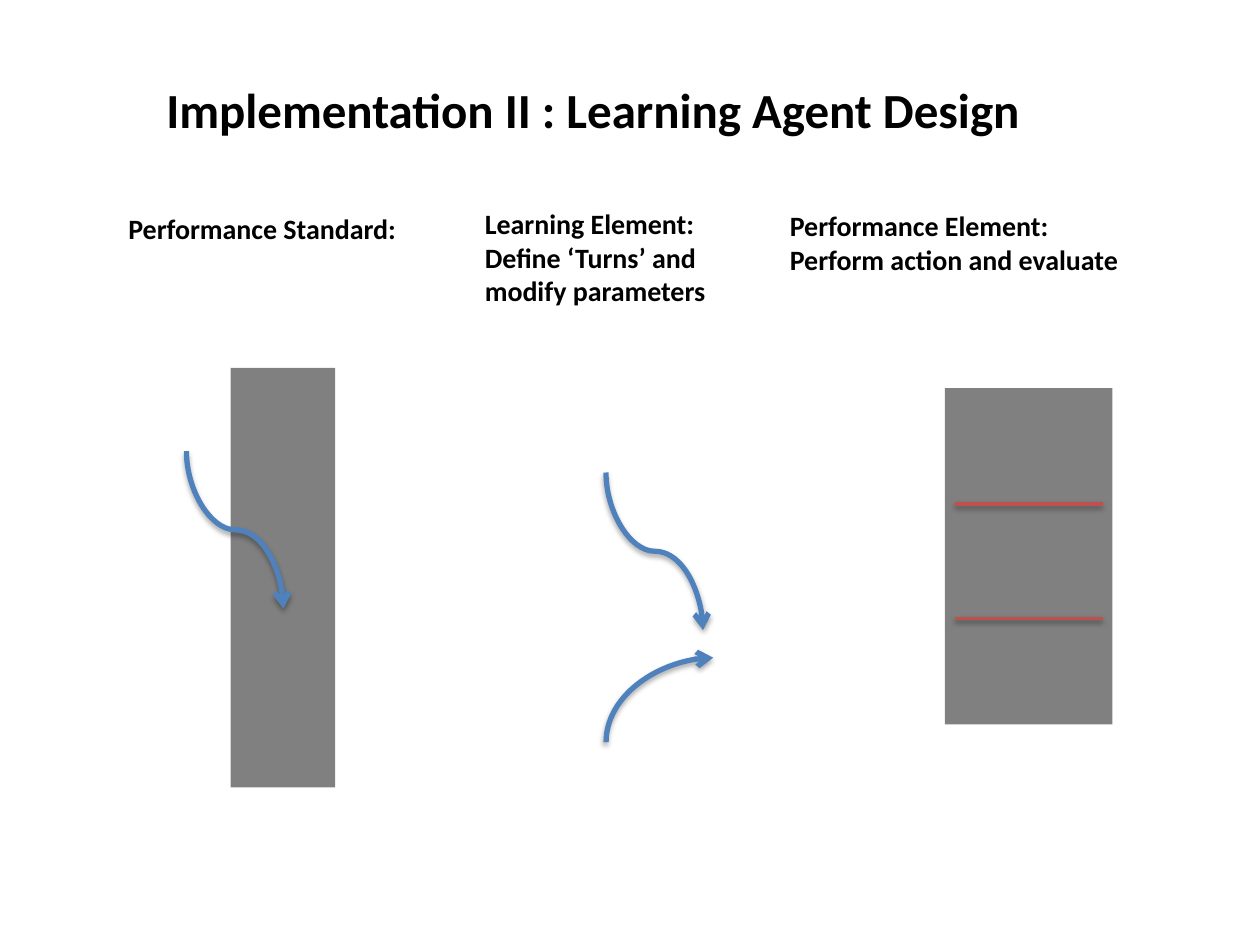
from lxml.etree import SubElement
from pptx import Presentation
from pptx.dml.color import RGBColor
from pptx.enum.shapes import MSO_CONNECTOR, MSO_SHAPE
from pptx.enum.text import MSO_ANCHOR, MSO_AUTO_SIZE, PP_ALIGN
from pptx.oxml.ns import qn
from pptx.util import Inches, Pt

BLACK = RGBColor(0, 0, 0)
GRAY = RGBColor(0x80, 0x80, 0x80)
BLUE = RGBColor(0x4F, 0x81, 0xBD)
RED = RGBColor(0xC0, 0x50, 0x4D)


def place(shape, box):
    """Move a shape to a box of left, top, width and height in inches."""
    shape.left, shape.top, shape.width, shape.height = map(Inches, box)


def write(shape, text, size=16, align=PP_ALIGN.LEFT):
    """Fill a shape with bold text, one paragraph a line."""
    frame = shape.text_frame
    frame.word_wrap = True
    frame.auto_size = MSO_AUTO_SIZE.SHAPE_TO_FIT_TEXT
    frame.vertical_anchor = MSO_ANCHOR.TOP
    frame.text = text
    for para in frame.paragraphs:
        para.alignment = align
        font = para.font
        font.name, font.size, font.bold = "Calibri", Pt(size), True
        font.color.rgb = BLACK


def label(slide, text, box):
    """Add a heading in a box."""
    write(slide.shapes.add_textbox(*map(Inches, box)), text)


def block(slide, box):
    """Add a plain gray rectangle."""
    shape = slide.shapes.add_shape(MSO_SHAPE.RECTANGLE, *map(Inches, box))
    shape.shadow.inherit = False
    shape.fill.solid()
    shape.fill.fore_color.rgb = GRAY
    shape.line.fill.background()


def style(line, color, width, drop, alpha):
    """Give a connector its colour, width and soft shadow."""
    line.line.color.rgb = color
    line.line.width = Pt(width)
    effects = SubElement(line._element.spPr, qn("a:effectLst"))
    shade = SubElement(effects, qn("a:outerShdw"), blurRad="40000",
                       dist=str(drop), dir="5400000", rotWithShape="0")
    tint = SubElement(shade, qn("a:srgbClr"), val="000000")
    SubElement(tint, qn("a:alpha"), val=str(alpha * 1000))


def curve(slide, start, end, kind="curvedConnector3", turn=270, flips=("flipH",)):
    """Add a blue curved arrow that leaves its start vertically."""
    (x1, y1), (x2, y2) = start, end
    wide, high = abs(y2 - y1), abs(x2 - x1)
    line = slide.shapes.add_connector(MSO_CONNECTOR.CURVE, 0, 0, 0, 0)
    place(line, ((x1 + x2 - wide) / 2, (y1 + y2 - high) / 2, wide, high))
    props = line._element.spPr
    props.find(qn("a:prstGeom")).set("prst", kind)
    frame = props.find(qn("a:xfrm"))
    frame.set("rot", str(turn * 60000))
    for flip in flips:
        frame.set(flip, "1")
    style(line, BLUE, 3, 23000, 35)
    SubElement(props.find(qn("a:ln")), qn("a:tailEnd"), type="arrow")


def header(slide, box):
    """Place the slide title."""
    title = slide.shapes.title
    place(title, box)
    write(title, "Implementation II : Learning Agent Design",
          size=28, align=PP_ALIGN.CENTER)


def standard(slide, box):
    """Draw the performance standard column."""
    left, top, width, _ = box
    label(slide, "Performance Standard:", (left, top, width, 0.37))
    block(slide, (left + 0.91, top + 1.29, 0.83, 3.33))
    curve(slide, (left + 0.56, top + 1.95), (left + 1.33, top + 3.2))


def learning(slide, box):
    """Draw the learning element column."""
    left, top, width, _ = box
    label(slide, "Learning Element:\nDefine ‘Turns’ and modify parameters",
          (left, top, width, 0.91))
    x = left + 1.06
    curve(slide, (x, top + 2.16), (x + 0.77, top + 3.41))
    curve(slide, (x, top + 4.3), (x + 0.85, top + 3.63),
          kind="curvedConnector2", turn=90, flips=("flipH", "flipV"))


def action(slide, box):
    """Draw the performance element column."""
    left, top, width, _ = box
    label(slide, "Performance Element:\nPerform action and evaluate",
          (left, top, width, 0.64))
    x, y = left + 1.33, top + 1.47
    block(slide, (x, y, 1.33, 2.67))
    for drop in (0.92, 1.83):
        ends = x + 1.25, y + drop, x + 0.08, y + drop
        line = slide.shapes.add_connector(MSO_CONNECTOR.STRAIGHT, *map(Inches, ends))
        style(line, RED, 2, 20000, 38)


def main():
    """Build and save the slide."""
    deck = Presentation()
    deck.slide_width, deck.slide_height = Inches(10), Inches(7.5)
    slide = deck.slides.add_slide(deck.slide_layouts[5])
    header(slide, (0.33, 0.58, 8.75, 0.57))
    standard(slide, (0.92, 1.63, 2.75, 4.62))
    learning(slide, (3.75, 1.59, 2.5, 4.3))
    action(slide, (6.17, 1.61, 3.25, 4.14))
    deck.save("out.pptx")


if __name__ == "__main__":
    main()
